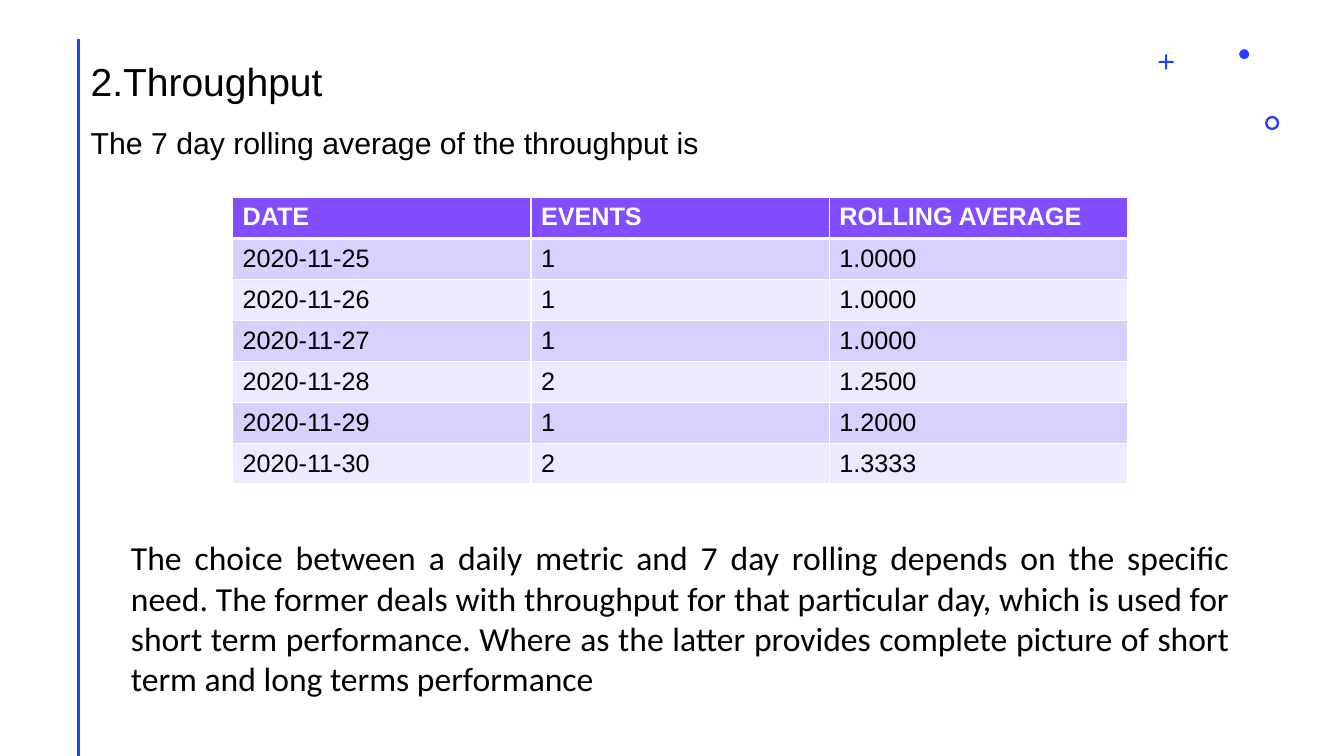
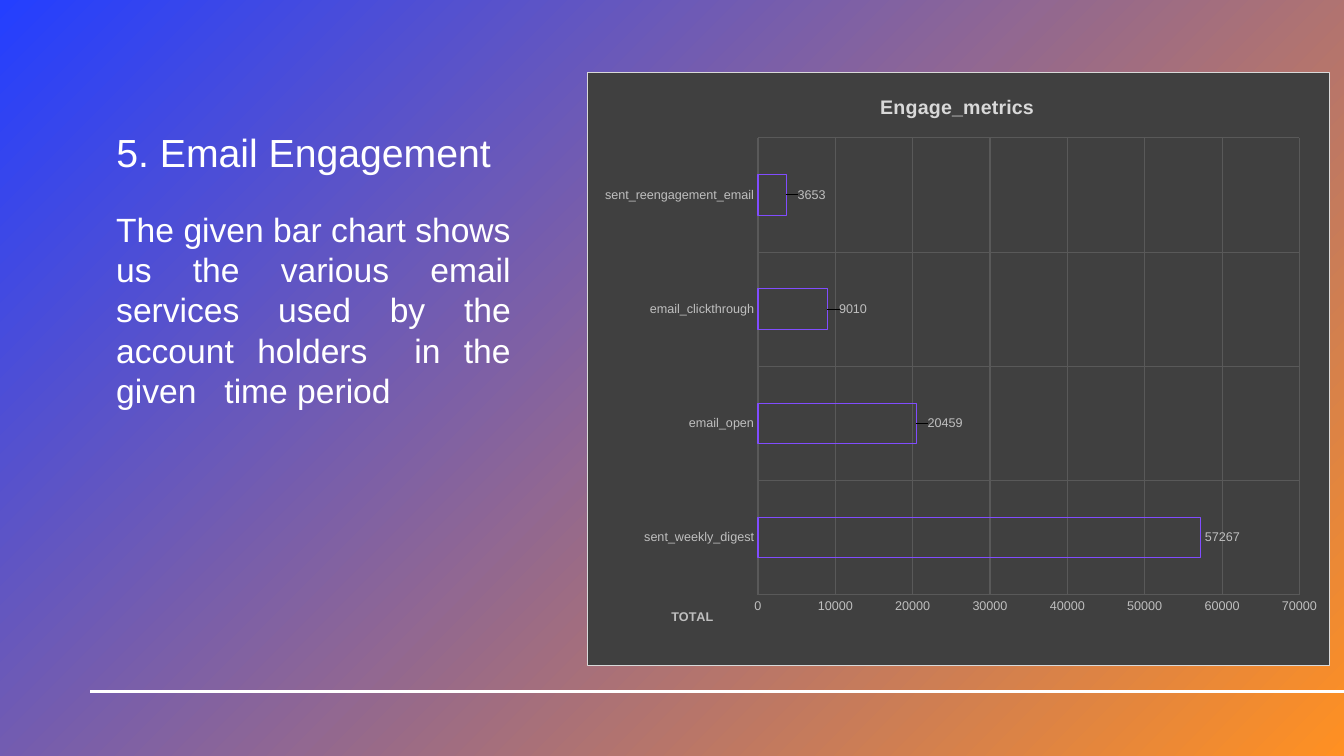
from dataclasses import dataclass

from pptx import Presentation
from pptx.chart.data import CategoryChartData
from pptx.dml.color import RGBColor
from pptx.enum.chart import XL_CHART_TYPE, XL_LABEL_POSITION, XL_TICK_MARK
from pptx.enum.shapes import MSO_CONNECTOR, MSO_SHAPE
from pptx.enum.text import MSO_ANCHOR, MSO_AUTO_SIZE, PP_ALIGN
from pptx.oxml import parse_xml
from pptx.oxml.ns import nsdecls, qn
from pptx.util import Cm, Pt

COLOURS = {
    "black": "000000",
    "white": "FFFFFF",
    "blue": "243FFF",
    "orange": "FF9022",
    "purple": "814DFF",
    "band_dark": "D8D0FF",
    "band_light": "EDE9FF",
    "chart_back": "404040",
    "grid": "595959",
    "chart_text": "BFBFBF",
    "chart_title": "D9D9D9",
}
FONT = "Arial"
WIDTH, HEIGHT = 33.87, 19.05
RULE_WEIGHT = 2


@dataclass(frozen=True)
class Box:
    left: float
    top: float
    width: float
    height: float

    def lengths(self) -> tuple:
        return Cm(self.left), Cm(self.top), Cm(self.width), Cm(self.height)


@dataclass(frozen=True)
class Mark:
    kind: MSO_SHAPE
    box: Box
    adjustment: float | None = None


MARKS = (
    Mark(MSO_SHAPE.CROSS, Box(29.2, 1.37, 0.38, 0.38), 0.43),
    Mark(MSO_SHAPE.DONUT, Box(31.88, 2.92, 0.36, 0.36), 0.17),
    Mark(MSO_SHAPE.OVAL, Box(31.23, 1.24, 0.25, 0.25)),
)

THROUGHPUT_ROWS = (
    ("DATE", "EVENTS", "ROLLING AVERAGE"),
    ("2020-11-25", "1", "1.0000"),
    ("2020-11-26", "1", "1.0000"),
    ("2020-11-27", "1", "1.0000"),
    ("2020-11-28", "2", "1.2500"),
    ("2020-11-29", "1", "1.2000"),
    ("2020-11-30", "2", "1.3333"),
)
ENGAGEMENT = {
    "sent_weekly_digest": 57267,
    "email_open": 20459,
    "email_clickthrough": 9010,
    "sent_reengagement_email": 3653,
}


def colour(name: str) -> RGBColor:
    return RGBColor.from_string(COLOURS[name])


def style_font(font, size: float, color: str, bold: bool = False, name: str = FONT) -> None:
    font.name, font.size, font.bold = name, Pt(size), bold
    font.color.rgb = colour(color)


def write_text(frame, text: str, *, size: float, color: str = "black", bold: bool = False,
               name: str = FONT, align=PP_ALIGN.LEFT, before: float = 0,
               append: bool = False) -> None:
    paragraph = frame.add_paragraph() if append else frame.paragraphs[0]
    paragraph.alignment = align
    paragraph.line_spacing = 1.0
    paragraph.space_before = Pt(before)
    run = paragraph.add_run()
    run.text = text
    style_font(run.font, size, color, bold, name)


def place_title(slide, box: Box, text: str, **text_format):
    title = slide.shapes.title
    title.left, title.top, title.width, title.height = box.lengths()
    frame = title.text_frame
    frame.word_wrap = True
    frame.auto_size = MSO_AUTO_SIZE.NONE
    frame.vertical_anchor = MSO_ANCHOR.TOP
    write_text(frame, text, **text_format)
    return frame


def add_body(slide, box: Box, text: str, **text_format) -> None:
    frame = slide.shapes.add_textbox(*box.lengths()).text_frame
    frame.word_wrap = True
    write_text(frame, text, size=24, align=PP_ALIGN.JUSTIFY, **text_format)


def add_filled_shape(slide, kind: MSO_SHAPE, box: Box):
    shape = slide.shapes.add_shape(kind, *box.lengths())
    shape.shadow.inherit = False
    shape.line.fill.background()
    return shape


def add_rule(slide, start: tuple[float, float], end: tuple[float, float], color: str):
    rule = slide.shapes.add_connector(MSO_CONNECTOR.STRAIGHT, *map(Cm, start + end))
    rule.line.color.rgb = colour(color)
    rule.line.width = Pt(RULE_WEIGHT)
    rule.element.spPr.append(parse_xml(f"<a:effectLst {nsdecls('a')}/>"))
    return rule


def add_mark(slide, mark: Mark):
    shape = add_filled_shape(slide, mark.kind, mark.box)
    shape.fill.solid()
    shape.fill.fore_color.rgb = colour("blue")
    if mark.adjustment is not None:
        shape.adjustments[0] = mark.adjustment
    return shape


def decorate_layout(layout, slide) -> None:
    """Draw the shared rule and marks with the slide's tools, then move them to its layout."""
    decorations = [add_rule(slide, (1.98, 0.99), (1.98, HEIGHT), "blue")]
    decorations += [add_mark(slide, mark) for mark in MARKS]
    for number, shape in enumerate(decorations, start=100):
        next(shape.element.iter(qn("p:cNvPr"))).set("id", str(number))
        layout.shapes.element.append(shape.element)


def add_throughput_table(slide, box: Box) -> None:
    table = slide.shapes.add_table(
        len(THROUGHPUT_ROWS), len(THROUGHPUT_ROWS[0]), *box.lengths()).table
    for row_index, values in enumerate(THROUGHPUT_ROWS):
        header = row_index == 0
        band = "purple" if header else ("band_dark" if row_index % 2 else "band_light")
        for column_index, value in enumerate(values):
            cell = table.cell(row_index, column_index)
            cell.fill.solid()
            cell.fill.fore_color.rgb = colour(band)
            cell.vertical_anchor = MSO_ANCHOR.TOP if header else MSO_ANCHOR.MIDDLE
            write_text(cell.text_frame, value, size=18, bold=header,
                       color="white" if header else "black")
            if header:
                cell.fill._xPr.insert(0, parse_xml(
                    f'<a:lnB {nsdecls("a")} w="{Pt(3)}"><a:solidFill>'
                    f'<a:srgbClr val="{COLOURS["white"]}"/></a:solidFill></a:lnB>'))


def manual_layout(x: float, y: float, *, size: tuple[float, float] | None = None,
                  edge: bool = True):
    target = '<c:layoutTarget val="inner"/>' if size else ""
    modes = '<c:xMode val="edge"/><c:yMode val="edge"/>' if edge else ""
    extent = f'<c:w val="{size[0]}"/><c:h val="{size[1]}"/>' if size else ""
    return parse_xml(
        f'<c:layout {nsdecls("c")}><c:manualLayout>{target}{modes}'
        f'<c:x val="{x}"/><c:y val="{y}"/>{extent}</c:manualLayout></c:layout>')


def set_layout(element, layout, after: str | None = None) -> None:
    for existing in element.findall(qn("c:layout")):
        element.remove(existing)
    if after:
        element.find(qn(after)).addnext(layout)
    else:
        element.insert(0, layout)


def style_axis(axis) -> None:
    axis.major_tick_mark = axis.minor_tick_mark = XL_TICK_MARK.NONE
    axis.format.line.fill.background()
    axis.has_major_gridlines = True
    grid = axis.major_gridlines.format.line
    grid.color.rgb = colour("grid")
    grid.width = Pt(0.75)
    style_font(axis.tick_labels.font, 9, "chart_text")


def add_engagement_chart(slide, box: Box) -> None:
    data = CategoryChartData()
    data.categories = list(ENGAGEMENT)
    data.add_series("Engage_metrics", list(ENGAGEMENT.values()))
    chart = slide.shapes.add_chart(XL_CHART_TYPE.BAR_CLUSTERED, *box.lengths(), data).chart
    style_font(chart.font, 10, "black")
    chart.has_legend = False

    # Chart area and plot area
    chart.element.find(qn("c:chart")).addnext(parse_xml(
        f'<c:spPr {nsdecls("c", "a")}><a:solidFill><a:srgbClr val="{COLOURS["chart_back"]}"/>'
        f'</a:solidFill><a:ln w="{Pt(0.75)}"><a:solidFill>'
        f'<a:srgbClr val="{COLOURS["chart_title"]}"/></a:solidFill></a:ln></c:spPr>'))
    plot_area = chart.element.find(qn("c:chart")).find(qn("c:plotArea"))
    set_layout(plot_area, manual_layout(0.23, 0.11, size=(0.73, 0.77)))

    # Titles
    chart.has_title = True
    write_text(chart.chart_title.text_frame, "Engage_metrics", size=14, bold=True,
               color="chart_title", align=PP_ALIGN.CENTER)
    set_layout(chart.chart_title.element, manual_layout(0.39, 0.03), "c:tx")
    value_axis = chart.value_axis
    value_axis.has_title = True
    write_text(value_axis.axis_title.text_frame, "TOTAL", size=9, bold=True,
               color="chart_text", align=PP_ALIGN.CENTER)
    set_layout(value_axis.axis_title.element, manual_layout(0.11, 0.9), "c:tx")

    # Axes
    for axis in (chart.category_axis, value_axis):
        style_axis(axis)
    value_axis.minimum_scale, value_axis.maximum_scale = 0, 70000
    value_axis.major_unit = 10000

    # Bars and labels
    plot = chart.plots[0]
    plot.gap_width, plot.overlap = 182, -50
    plot.vary_by_categories = False
    series = plot.series[0]
    series.format.fill.background()
    series.format.line.color.rgb = colour("purple")
    series.format.line.width = Pt(0.75)
    labels = series.data_labels
    labels.show_value = True
    labels.position = XL_LABEL_POSITION.OUTSIDE_END
    style_font(labels.font, 9, "chart_text")
    for index in range(1, len(ENGAGEMENT)):
        label = series.points[index].data_label
        style_font(label.font, 9, "chart_text")
        label.position = XL_LABEL_POSITION.OUTSIDE_END
    for label_element in chart.element.iter(qn("c:dLbl")):
        set_layout(label_element, manual_layout(0.01, 0, edge=False), "c:idx")


def build_throughput(slide) -> None:
    frame = place_title(slide, Box(2.03, 1.46, 26, 2.8), "2.Throughput", size=27.9)
    frame.margin_top = 0
    write_text(frame, "The 7 day rolling average of the throughput is",
               size=21.6, before=14, append=True)
    add_throughput_table(slide, Box(5.86, 4.98, 22.56, 7.22))
    add_body(slide, Box(3.05, 13.41, 28.19, 4.37),
             "The choice between a daily metric and 7 day rolling depends on the specific need. "
             "The former deals with throughput for that particular day, which is used for short "
             "term performance. Where as the latter provides complete picture of short term and "
             "long terms performance", name="Calibri")


def build_engagement(slide) -> None:
    backdrop = add_filled_shape(slide, MSO_SHAPE.RECTANGLE, Box(0, 0, WIDTH, HEIGHT))
    backdrop.fill.gradient()
    backdrop.fill.gradient_angle = 315
    for stop, name in zip(backdrop.fill.gradient_stops, ("blue", "orange")):
        stop.color.rgb = colour(name)
    # The title placeholder comes before the backdrop, so bring it forward
    slide.shapes.element.append(slide.shapes.title.element)
    add_rule(slide, (2.27, 17.42), (WIDTH, 17.42), "white")
    add_engagement_chart(slide, Box(14.79, 1.82, 18.72, 14.97))
    place_title(slide, Box(2.68, 3.1, 10.44, 1.8), "5. Email Engagement",
                size=28, color="white")
    add_body(slide, Box(2.68, 5.13, 10.44, 5.38),
             "The given bar chart shows us the various email services used by the account "
             "holders  in the given   time period", color="white")


def main() -> None:
    presentation = Presentation()
    presentation.slide_width, presentation.slide_height = Cm(WIDTH), Cm(HEIGHT)
    title_only = presentation.slide_layouts[5]
    throughput, engagement = (presentation.slides.add_slide(title_only) for _ in range(2))
    decorate_layout(title_only, throughput)
    build_throughput(throughput)
    build_engagement(engagement)
    presentation.save("out.pptx")


if __name__ == "__main__":
    main()
